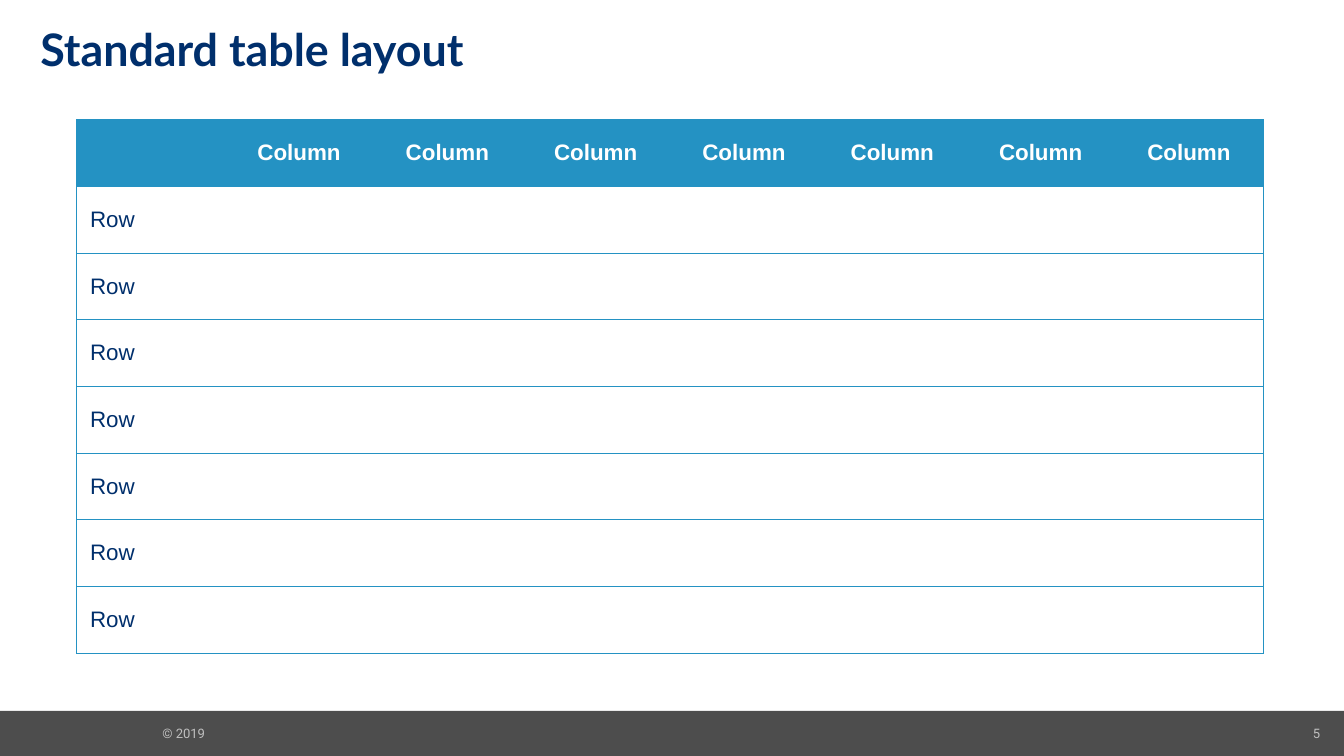
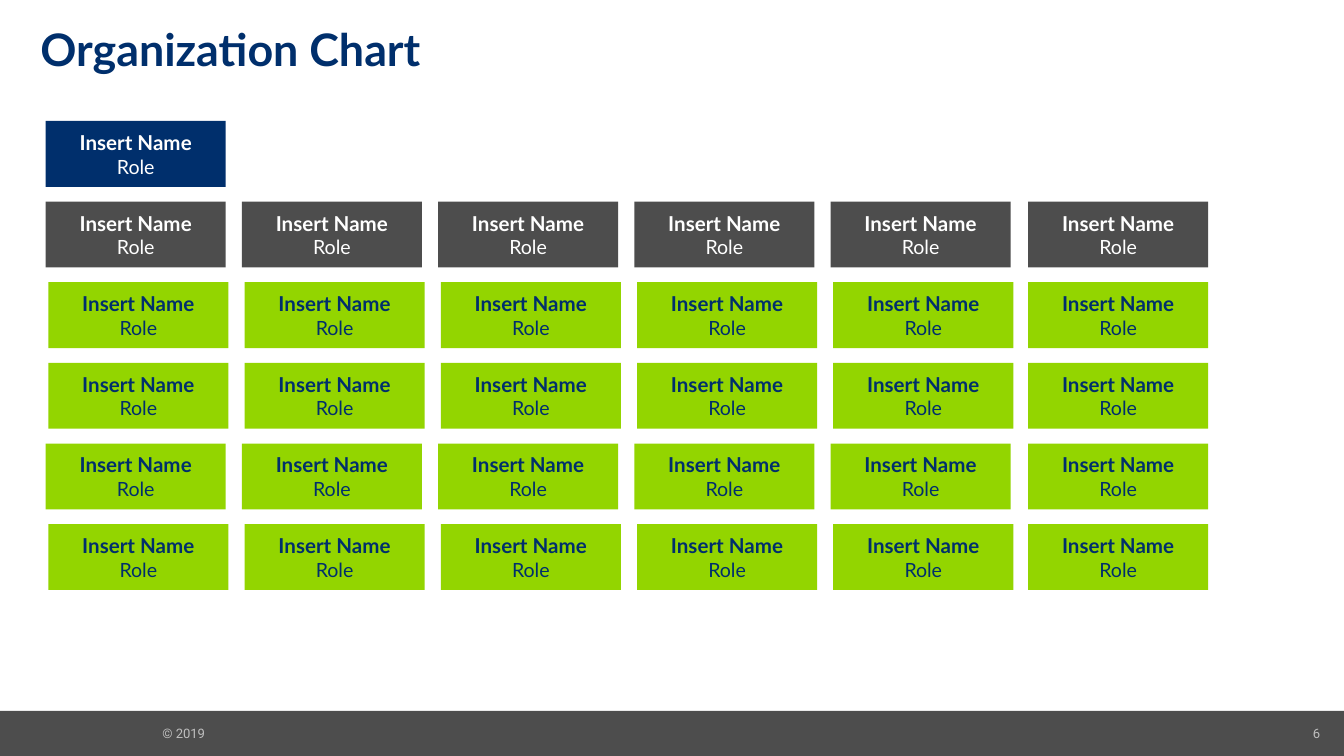
from lxml import etree
from pptx import Presentation
from pptx.dml.color import RGBColor
from pptx.enum.shapes import MSO_SHAPE
from pptx.enum.text import MSO_ANCHOR, MSO_AUTO_SIZE, PP_ALIGN
from pptx.oxml.ns import qn
from pptx.util import Inches, Pt

RECT = MSO_SHAPE.RECTANGLE
MIDDLE, TOP = MSO_ANCHOR.MIDDLE, MSO_ANCHOR.TOP
LEFT, CENTER, RIGHT = PP_ALIGN.LEFT, PP_ALIGN.CENTER, PP_ALIGN.RIGHT
NO_FIT = MSO_AUTO_SIZE.NONE

COLORS = {
    "navy": "002F6C",
    "blue": "2492C3",
    "green": "93D500",
    "gray": "4D4D4D",
    "silver": "BFBFBF",
    "white": "FFFFFF",
}
TITLE_ONLY = 5
FIRST_PAGE = 5


def rgb(name):
    return RGBColor.from_string(COLORS[name])


class Deck:
    def __init__(self):
        self.prs = Presentation()
        self.prs.slide_width = Inches(10)
        self.prs.slide_height = Inches(10 * 9 / 16)
        self.s = None

    def style(self, p, size, color, font="Lato", bold=False, align=LEFT):
        p.alignment = align
        p.font.name = font
        p.font.size = Pt(size)
        p.font.bold = bold
        p.font.color.rgb = rgb(color)

    def slide(self, title):
        self.s = self.prs.slides.add_slide(self.prs.slide_layouts[TITLE_ONLY])
        self.footer()
        sp = self.s.shapes.title
        sp.left, sp.top = Inches(0.2), Inches(0.15)
        sp.width, sp.height = Inches(9.1), Inches(0.48)
        tf = sp.text_frame
        tf.text = title
        tf.auto_size = NO_FIT
        tf.vertical_anchor = MIDDLE
        p = tf.paragraphs[0]
        p.line_spacing = 0.9
        self.style(p, 24, "navy", bold=True)

    def footer(self):
        self.rect(0, 5.29, 10, 0.34, "gray")
        page = len(self.prs.slides) + FIRST_PAGE - 1
        self.label("© 2019", 1.11, 5.35, 2.55, 0.22, LEFT, TOP)
        self.label(str(page), 9.57, 5.34, 0.35, 0.23, RIGHT, MIDDLE)

    def label(self, text, x, y, w, h, align, anchor):
        sp = self.s.shapes.add_textbox(Inches(x), Inches(y), Inches(w), Inches(h))
        tf = sp.text_frame
        tf.word_wrap = True
        tf.vertical_anchor = anchor
        tf.text = text
        self.style(tf.paragraphs[0], 7, "silver", "Roboto", align=align)

    def rect(self, x, y, w, h, fill):
        sp = self.s.shapes.add_shape(RECT, Inches(x), Inches(y), Inches(w), Inches(h))
        sp.shadow.inherit = False
        sp.fill.solid()
        sp.fill.fore_color.rgb = rgb(fill)
        sp.line.fill.background()
        return sp

    def person(self, x, y, fill, color):
        tf = self.rect(x, y, 1.34, 0.49, fill).text_frame
        tf.word_wrap = True
        tf.vertical_anchor = MIDDLE
        tf.text = "Insert Name\nRole"
        name, role = tf.paragraphs
        self.style(name, 11, color, bold=True, align=CENTER)
        self.style(role, 10.5, color, align=CENTER)

    def borders(self, cell, sides):
        tc_pr = cell._tc.get_or_add_tcPr()
        for side in "LRTB":
            ln = etree.SubElement(tc_pr, qn(f"a:ln{side}"))
            if side in sides:
                ln.set("w", str(Pt(0.5)))
                fill = etree.SubElement(ln, qn("a:solidFill"))
                etree.SubElement(fill, qn("a:srgbClr"), val=COLORS["blue"])
            else:
                etree.SubElement(ln, qn("a:noFill"))

    def table(self, rows, x, y, w, h):
        n_rows, n_cols = len(rows), len(rows[0])
        frame = self.s.shapes.add_table(
            n_rows, n_cols, Inches(x), Inches(y), Inches(w), Inches(h))
        table = frame.table
        table.horz_banding = False
        for i, row in enumerate(rows):
            header = i == 0
            for j, text in enumerate(row):
                cell = table.cell(i, j)
                sides = "TB" + "L" * (j == 0) + "R" * (j == n_cols - 1)
                self.borders(cell, sides)
                cell.fill.solid()
                cell.fill.fore_color.rgb = rgb("blue" if header else "white")
                cell.vertical_anchor = MIDDLE
                cell.text = text
                self.style(cell.text_frame.paragraphs[0], 12,
                           "white" if header else "navy", "Arial",
                           header, CENTER if header else LEFT)


def main():
    deck = Deck()

    deck.slide("Standard table layout")
    header = [""] + ["Column"] * 7
    body = [["Row"] + [""] * 7 for _ in range(7)]
    deck.table([header] + body, 0.57, 0.89, 8.83, 3.97)

    deck.slide("Organization Chart")
    levels = [
        (0.34, 1, "navy", "white"),
        (0.34, 6, "gray", "white"),
        (0.36, 6, "green", "navy"),
        (0.36, 6, "green", "navy"),
        (0.34, 6, "green", "navy"),
        (0.36, 6, "green", "navy"),
    ]
    step, last_left = 1.46, 7.65
    for i, (left, count, fill, color) in enumerate(levels):
        for j in range(count):
            x = last_left if j == 5 else left + j * step
            deck.person(x, 0.9 + i * 0.6, fill, color)

    deck.prs.save("out.pptx")


if __name__ == "__main__":
    main()
